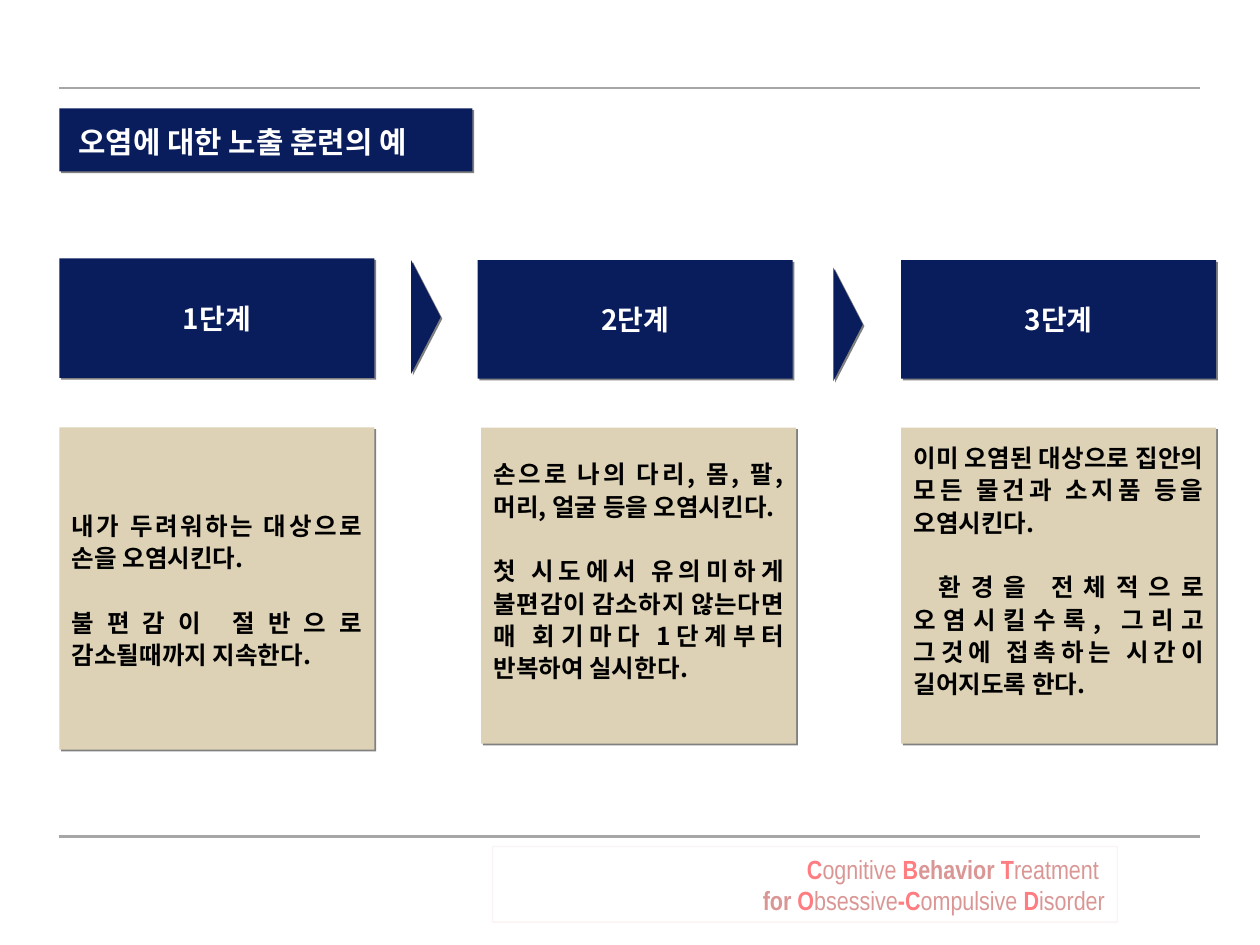
"""Build the slide on staged exposure training for contamination fears."""
from lxml import etree
from pptx import Presentation
from pptx.dml.color import RGBColor
from pptx.enum import shapes, text
from pptx.oxml import ns
from pptx.util import Pt

COLORS = {"navy": "091D5D", "sand": "DDD2B5", "gray": "A6A6A6", "shadow": "808080",
          "white": "FFFFFF", "black": "000000", "rose": "D99694", "coral": "FF7C80"}
KOREAN, LATIN = "Noto Sans CJK KR", "Arial Narrow"
HEADING = "오염에 대한 노출 훈련의 예"
STAGES = [
    {"label": "1단계", "label_box": (34, 147.6, 180, 68.4), "card_box": (34, 244.3, 180, 184.2), "below": 7.2,
     "steps": ["내가 두려워하는 대상으로 손을 오염시킨다.",
               "불편감이 절반으로 감소될때까지 지속한다."]},
    {"label": "2단계", "label_box": (273, 148.7, 180, 67.7), "card_box": (275, 244.3, 180, 180.7), "below": 25.7,
     "steps": ["손으로 나의 다리, 몸, 팔, 머리, 얼굴 등을 오염시킨다.",
               "첫 시도에서 유의미하게 불편감이 감소하지 않는다면 매 회기마다 1단계부터 반복하여 실시한다."]},
    {"label": "3단계", "label_box": (515, 148.7, 180, 67.7), "card_box": (515, 244.3, 180, 180.7), "below": 25.7,
     "steps": ["이미 오염된 대상으로 집안의 모든 물건과 소지품 등을 오염시킨다.",
               " 환경을 전체적으로 오염시킬수록, 그리고 그것에 접촉하는 시간이 길어지도록 한다."]},
]
ARROWS = [(211, 172.8, 64.8, 16.8), (452.2, 177, 64.8, 16.8)]
RULES = [50.2, 478]
PROGRAM = [
    [("C", "coral", True), ("ognitive", "rose", False), (" B", "coral", True),
     ("ehavior", "rose", True), (" T", "coral", True), ("reatment ", "rose", False)],
    [("for", "rose", True), (" O", "coral", True), ("bsessive", "rose", False),
     ("-C", "coral", True), ("ompulsive", "rose", False), (" D", "coral", True),
     ("isorder", "rose", False)],
]


def rgb(name):
    return RGBColor.from_string(COLORS[name])


def place(item, box):
    item.left, item.top, item.width, item.height = map(Pt, box)


def paint(item, fill):
    item.fill.solid()
    item.fill.fore_color.rgb = rgb(fill)
    item.line.fill.background()
    properties = item._element.spPr
    for old in properties.findall(ns.qn("a:effectLst")):
        properties.remove(old)
    effects = etree.SubElement(properties, ns.qn("a:effectLst"))
    shade = etree.SubElement(effects, ns.qn("a:outerShdw"), blurRad="0", dist="17780",
                             dir="2700000", algn="ctr", rotWithShape="0")
    etree.SubElement(shade, ns.qn("a:srgbClr"), val=COLORS["shadow"])


def write(item, paragraphs, font=KOREAN, size=14, align=text.PP_ALIGN.LEFT, spacing=1.0,
          gap=0, insets=(7.2, 7.2, 7.2, 7.2), anchor=text.MSO_ANCHOR.MIDDLE):
    frame = item.text_frame
    frame.word_wrap = True
    frame.auto_size = text.MSO_AUTO_SIZE.NONE
    frame.vertical_anchor = anchor
    frame.margin_left, frame.margin_top, frame.margin_right, frame.margin_bottom = map(Pt, insets)
    for index, pieces in enumerate(paragraphs):
        paragraph = frame.add_paragraph() if index else frame.paragraphs[0]
        paragraph.alignment = align
        paragraph.line_spacing = spacing
        paragraph.space_before = Pt(gap if index else 0)
        for words, color, bold in pieces:
            run = paragraph.add_run()
            run.text = words
            run.font.name, run.font.size, run.font.bold = font, Pt(size), bold
            run.font.color.rgb = rgb(color)
            east_asian = etree.Element(ns.qn("a:ea"), typeface=font)
            run.font._element.find(ns.qn("a:latin")).addnext(east_asian)


def add_block(slide, kind, box, fill):
    block = slide.shapes.add_shape(kind, *map(Pt, box))
    paint(block, fill)
    return block


def add_rule(slide, top):
    rule = slide.shapes.add_connector(shapes.MSO_CONNECTOR.STRAIGHT, Pt(34), Pt(top), Pt(686), Pt(top))
    rule.line.color.rgb = rgb("gray")
    rule.line.width = Pt(1.25)
    etree.SubElement(rule._element.spPr, ns.qn("a:effectLst"))


def add_program(slide):
    program = slide.shapes.add_textbox(*map(Pt, (281.5, 483.8, 357, 43.2)))
    program.line.color.rgb = rgb("rose")
    program.line.width = Pt(0.75)
    tint = program._element.spPr.find(".//" + ns.qn("a:srgbClr"))
    etree.SubElement(tint, ns.qn("a:alpha"), val="10000")
    write(program, PROGRAM, font=LATIN, size=15, align=text.PP_ALIGN.RIGHT,
          insets=(7.2, 3.6, 7.2, 3.6), anchor=text.MSO_ANCHOR.TOP)


def main():
    deck = Presentation()
    deck.slide_width, deck.slide_height = Pt(720), Pt(540)
    slide = deck.slides.add_slide(deck.slide_layouts[5])
    heading = slide.shapes.title
    place(heading, (34, 62, 236, 36))
    paint(heading, "navy")
    write(heading, [[(HEADING, "white", True)]], size=17, spacing=1.1, insets=(10.8, 7.2, 7.2, 7.2))
    for top in RULES:
        add_rule(slide, top)
    add_program(slide)
    for stage in STAGES:
        label = add_block(slide, shapes.MSO_SHAPE.RECTANGLE, stage["label_box"], "navy")
        write(label, [[(stage["label"], "white", True)]], size=16, align=text.PP_ALIGN.CENTER)
        card = add_block(slide, shapes.MSO_SHAPE.RECTANGLE, stage["card_box"], "sand")
        write(card, [[(step, "black", True)] for step in stage["steps"]],
              align=text.PP_ALIGN.JUSTIFY, spacing=1.1, gap=18.5,
              insets=(7.2, 7.2, 7.2, stage["below"]))
    for box in ARROWS:
        arrow = add_block(slide, shapes.MSO_SHAPE.ISOSCELES_TRIANGLE, box, "navy")
        arrow.rotation = 90
    deck.save("out.pptx")


if __name__ == "__main__":
    main()
